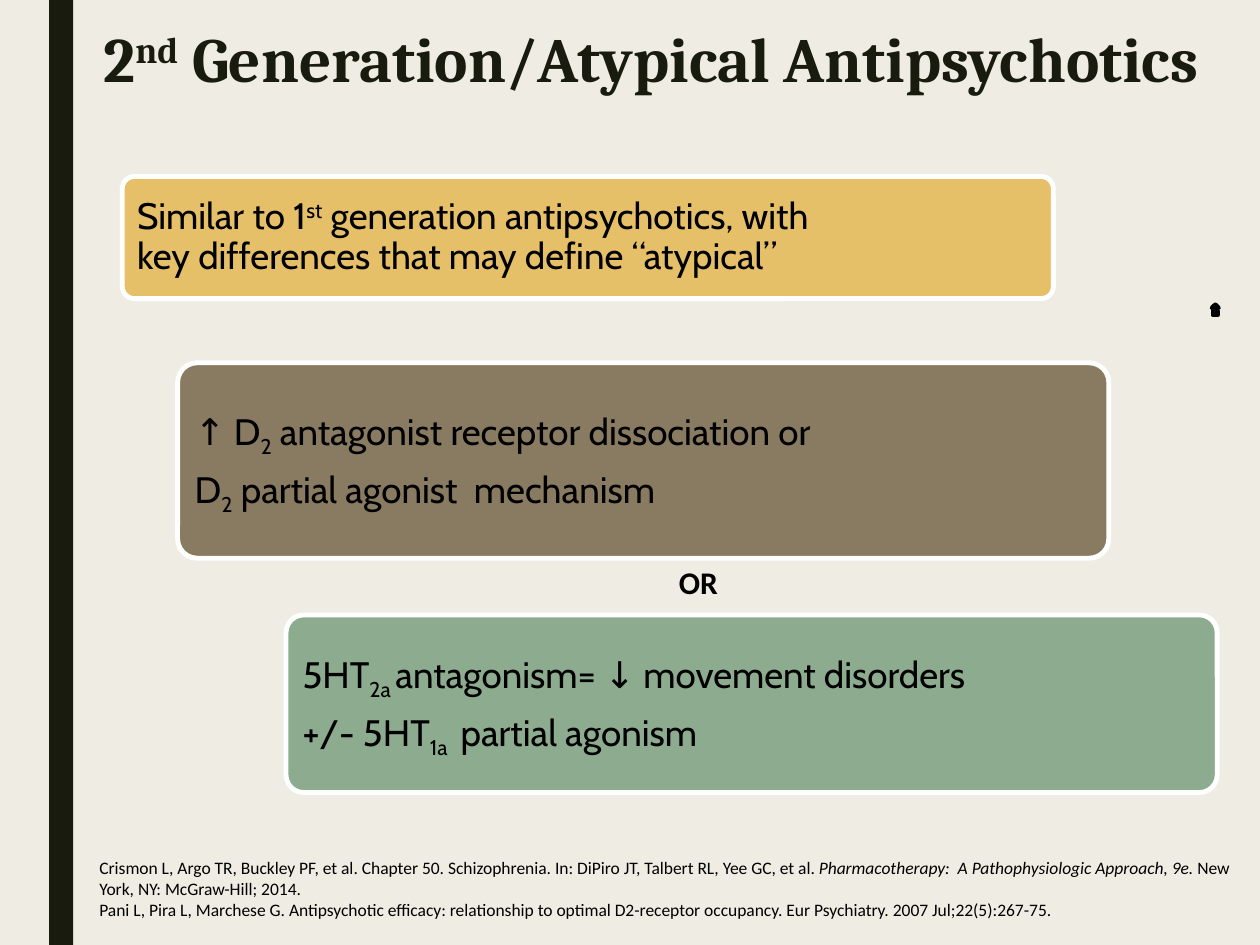
from pptx import Presentation
from pptx.dml.color import RGBColor
from pptx.enum.shapes import MSO_SHAPE as SHAPE
from pptx.enum.text import MSO_ANCHOR as ANCHOR, MSO_AUTO_SIZE as AUTO, PP_ALIGN as ALIGN
from pptx.util import Inches, Pt

SUP, SUB = 30000, -25000


def rgb(value):
    return RGBColor.from_string(value)


class Deck:
    ink, paper, black, white = "191B0E", "EFEDE3", "000000", "FFFFFF"

    def __init__(self):
        self.prs = Presentation()
        self.prs.slide_width, self.prs.slide_height = Inches(10), Inches(7.5)
        self.s = self.prs.slides.add_slide(self.prs.slide_layouts[5])
        fill = self.s.background.fill
        fill.solid()
        fill.fore_color.rgb = rgb(self.paper)

    def area(self, x, y, w, h):
        width, height = self.prs.slide_width, self.prs.slide_height
        return [int(share * size / 100) for share, size in
                zip((x, y, w, h), (width, height, width, height))]

    def fill_text(self, sp, paragraphs, size, font, color=black, bold=False, spacing=None, after=0):
        tf = sp.text_frame
        tf.word_wrap = True
        for i, parts in enumerate(paragraphs):
            p = tf.paragraphs[0] if i == 0 else tf.add_paragraph()
            p.alignment = ALIGN.LEFT
            p.space_before, p.space_after = Pt(0), Pt(after)
            p.line_spacing = spacing
            for text, base, italic in parts:
                r = p.add_run()
                r.text = text
                f = r.font
                f.size, f.name, f.bold, f.italic = Pt(size), font, bold, italic
                f.color.rgb = rgb(color)
                if base:
                    r._r.get_or_add_rPr().set("baseline", str(base))
        return tf

    def title(self, area, parts):
        sp = self.s.shapes.title
        sp.left, sp.top, sp.width, sp.height = self.area(*area)
        tf = self.fill_text(sp, [parts], 36, "Cambria", self.ink, bold=True, spacing=0.89)
        tf.vertical_anchor, tf.auto_size = ANCHOR.TOP, AUTO.NONE

    def shape(self, kind, area, fill, line=None):
        sp = self.s.shapes.add_shape(kind, *self.area(*area))
        sp.shadow.inherit = False
        sp.fill.solid()
        sp.fill.fore_color.rgb = rgb(fill)
        if line:
            sp.line.color.rgb = rgb(line)
            sp.line.width = Pt(2.75)
        else:
            sp.line.fill.background()
        return sp

    def card(self, area, fill, paragraphs):
        sp = self.shape(SHAPE.ROUNDED_RECTANGLE, area, fill, self.white)
        sp.adjustments[0] = 0.1
        tf = self.fill_text(sp, paragraphs, 21, "Cabin", spacing=0.9, after=7.35)
        tf.vertical_anchor = ANCHOR.MIDDLE
        tf.margin_left = tf.margin_top = tf.margin_bottom = Inches(0.09)
        tf.margin_right = Inches(1.7)

    def text(self, area, paragraphs, size, bold=False):
        sp = self.s.shapes.add_textbox(*self.area(*area))
        self.fill_text(sp, paragraphs, size, "Calibri", bold=bold)


def run(text, base=0, italic=False):
    return text, base, italic


def main():
    deck = Deck()
    deck.shape(SHAPE.RECTANGLE, (3.9, 0, 1.9, 100), deck.ink)
    deck.title((7.2, 2.4, 95.8, 15.6),
               [run("2"), run("nd", SUP), run(" Generation/Atypical Antipsychotics")])

    cards = [
        (9.7, 18.67, 12.93, "E6C069", [
            [run("Similar to 1"), run("st", SUP),
             run(" generation antipsychotics, with key differences that may define “atypical”")]]),
        (14.1, 38.4, 20.67, "897B61", [
            [run("↑ D"), run("2", SUB), run(" antagonist receptor dissociation or")],
            [run("D"), run("2", SUB), run(" partial agonist  mechanism")]]),
        (22.7, 65.07, 18.8, "8DAB8E", [
            [run("5HT"), run("2a ", SUB), run("antagonism= ↓ movement disorders")],
            [run("+/- 5HT"), run("1a ", SUB), run(" partial agonism")]]),
    ]
    for x, y, h, fill, paragraphs in cards:
        deck.card((x, y, 73.9, h), fill, paragraphs)

    deck.shape(SHAPE.MATH_MINUS, (96.2, 32.27, 0.5, 1.73), "808080", deck.black)
    arrow = deck.shape(SHAPE.DOWN_ARROW, (96.2, 32.27, 0.5, 0.67), "808080", deck.black)
    arrow.adjustments[0], arrow.adjustments[1] = 0.55, 0.45
    arrow.rotation = 180

    deck.text((6.9, 90, 93.1, 8.13), [
        [run("Crismon L, Argo TR, Buckley PF, et al. Chapter 50. Schizophrenia. "
             "In: DiPiro JT, Talbert RL, Yee GC, et al. "),
         run("Pharmacotherapy:  A Pathophysiologic Approach, 9e. ", italic=True),
         run("New York, NY: McGraw-Hill; 2014.")],
        [run("Pani L, Pira L, Marchese G. Antipsychotic efficacy: relationship to optimal "
             "D2-receptor occupancy. Eur Psychiatry. 2007 Jul;22(5):267-75.")]], 10)
    deck.text((52.9, 58.93, 6.7, 5.33), [[run("OR")]], 18, bold=True)

    deck.prs.save("out.pptx")


if __name__ == "__main__":
    main()
